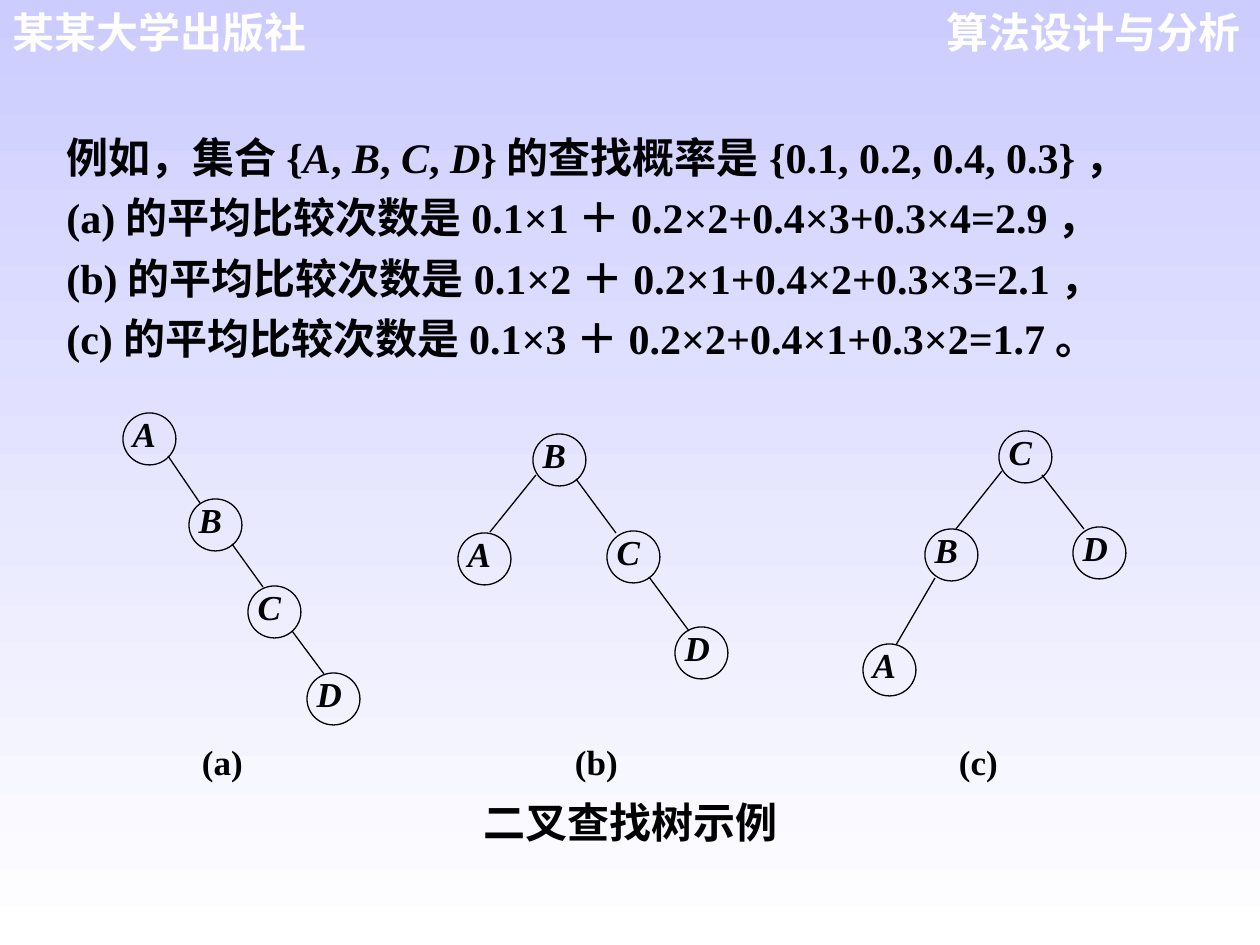
from dataclasses import dataclass

from lxml import etree
from pptx import Presentation
from pptx.dml.color import RGBColor
from pptx.enum import shapes, text
from pptx.oxml import ns
from pptx.util import Emu, Pt

PX = 914400 // 126  # EMU per px


@dataclass(frozen=True)
class Theme:
    sky: RGBColor = RGBColor(0xCC, 0xCC, 0xFF)
    white: RGBColor = RGBColor(0xFF, 0xFF, 0xFF)
    ink: RGBColor = RGBColor(0, 0, 0)
    sans: str = "Arial"
    serif: str = "Times New Roman"
    body: int = 24
    label: int = 20
    stroke: float = 0.75


theme = Theme()


def px(*lengths):
    return [Emu(length * PX) for length in lengths]


def add_run(paragraph, words, size, color=theme.ink, font=theme.serif, italic=False):
    run = paragraph.add_run()
    run.text = words
    run.font.size, run.font.name = Pt(size), font
    run.font.bold, run.font.italic = True, italic
    run.font.color.rgb = color


deck = Presentation()
deck.slide_width, deck.slide_height = px(1260, 945)
slide = deck.slides.add_slide(deck.slide_layouts[6])

# Background: lavender fading down to white
backdrop = slide.background.fill
backdrop.gradient()
backdrop.gradient_angle = 270
for stop, color, position in zip(backdrop.gradient_stops, (theme.sky, theme.white), (0, 1)):
    stop.color.rgb, stop.position = color, position

# Running headers
for words, left, align in (
    ("算法设计与分析", 912, text.PP_ALIGN.RIGHT),
    ("某某大学出版社", 0, text.PP_ALIGN.LEFT),
):
    header = slide.shapes.add_textbox(*px(left, 0, 341, 63)).text_frame
    header.word_wrap = True
    header.paragraphs[0].alignment = align
    add_run(header.paragraphs[0], words, theme.body, theme.white, theme.sans)

# Search trees: nodes are (key, left, top), edges are (x1, y1, x2, y2)
trees = (
    (
        (("A", 123, 413), ("B", 189, 499), ("C", 248, 586), ("D", 307, 673)),
        ((168, 456, 200, 503), (232, 544, 263, 587), (292, 631, 324, 674)),
    ),
    (
        (("A", 458, 533), ("B", 533, 434), ("C", 607, 531), ("D", 675, 627)),
        ((576, 479, 616, 533), (649, 577, 689, 631), (536, 475, 490, 532)),
    ),
    (
        (("B", 925, 529), ("C", 999, 431), ("D", 1073, 527), ("A", 863, 644)),
        ((1042, 475, 1084, 529), (1002, 471, 956, 529), (935, 578, 896, 645)),
    ),
)
for nodes, edges in trees:
    for key, left, top in nodes:
        node = slide.shapes.add_shape(shapes.MSO_SHAPE.OVAL, *px(left, top, 53, 52))
        node.shadow.inherit = False
        node.fill.background()
        node.line.color.rgb, node.line.width = theme.ink, Pt(theme.stroke)
        inside = node.text_frame
        inside.margin_left, inside.margin_top, inside.margin_right, inside.margin_bottom = px(2, 0, 0, 0)
        inside.vertical_anchor = text.MSO_ANCHOR.TOP
        inside.paragraphs[0].alignment = text.PP_ALIGN.JUSTIFY
        inside.paragraphs[0].line_spacing = 0.8
        add_run(inside.paragraphs[0], key, theme.label, italic=True)
    for ends in edges:
        edge = slide.shapes.add_connector(shapes.MSO_CONNECTOR.STRAIGHT, *px(*ends))
        edge.line.color.rgb, edge.line.width = theme.ink, Pt(theme.stroke)
        etree.SubElement(edge._element.spPr, ns.qn("a:effectLst"))

# Tree labels on tab stops, then the figure title
caption = slide.shapes.add_textbox(*px(168, 741, 925, 118)).text_frame
caption.word_wrap = True
caption.margin_left = caption.margin_top = caption.margin_right = caption.margin_bottom = 0
labels = caption.paragraphs[0]
tabs = etree.SubElement(labels._p.get_or_add_pPr(), ns.qn("a:tabLst"))
for offset in px(34, 407, 791):
    etree.SubElement(tabs, ns.qn("a:tab"), pos=str(int(offset)), algn="l")
add_run(labels, "\t(a)\t(b)\t(c)", theme.label)
title = caption.add_paragraph()
title.alignment = text.PP_ALIGN.CENTER
title.space_before = Pt(7.7)
add_run(title, "二叉查找树示例", theme.body)

# Worked example: the set, then the average comparisons for each tree
example = slide.shapes.add_textbox(*px(54, 115, 1174, 255)).text_frame
example.word_wrap = True
example.margin_right = 0
lines = (
    ("例如，集合{", "A", ", ", "B", ", ", "C", ", ", "D", "}的查找概率是{0.1, 0.2, 0.4, 0.3}，"),
    ("(a)的平均比较次数是0.1×1＋0.2×2+0.4×3+0.3×4=2.9，",),
    ("(b)的平均比较次数是0.1×2＋0.2×1+0.4×2+0.3×3=2.1，",),
    ("(c)的平均比较次数是0.1×3＋0.2×2+0.4×1+0.3×2=1.7。",),
)
for row, pieces in enumerate(lines):
    line = example.add_paragraph() if row else example.paragraphs[0]
    line.line_spacing = 1.2
    for piece in pieces:
        add_run(line, piece, theme.body, italic=piece in "ABCD")

deck.save("out.pptx")
